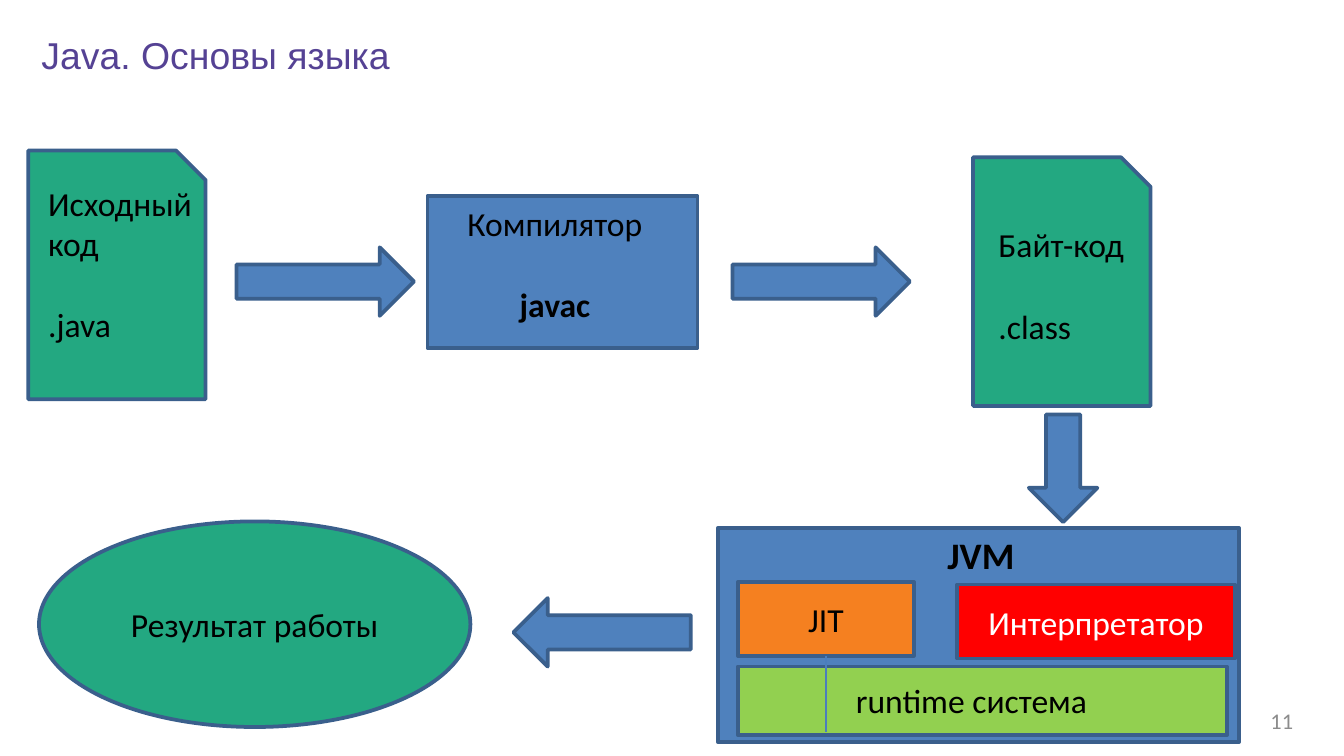
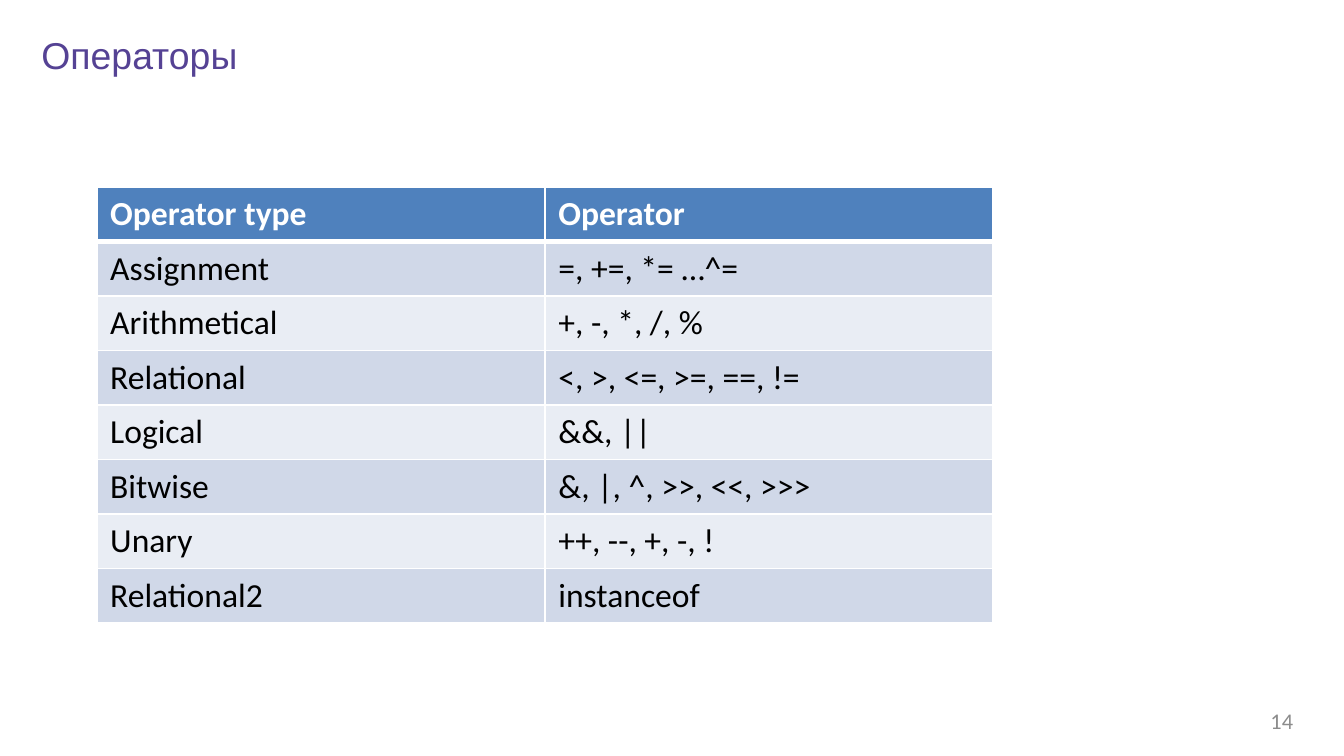
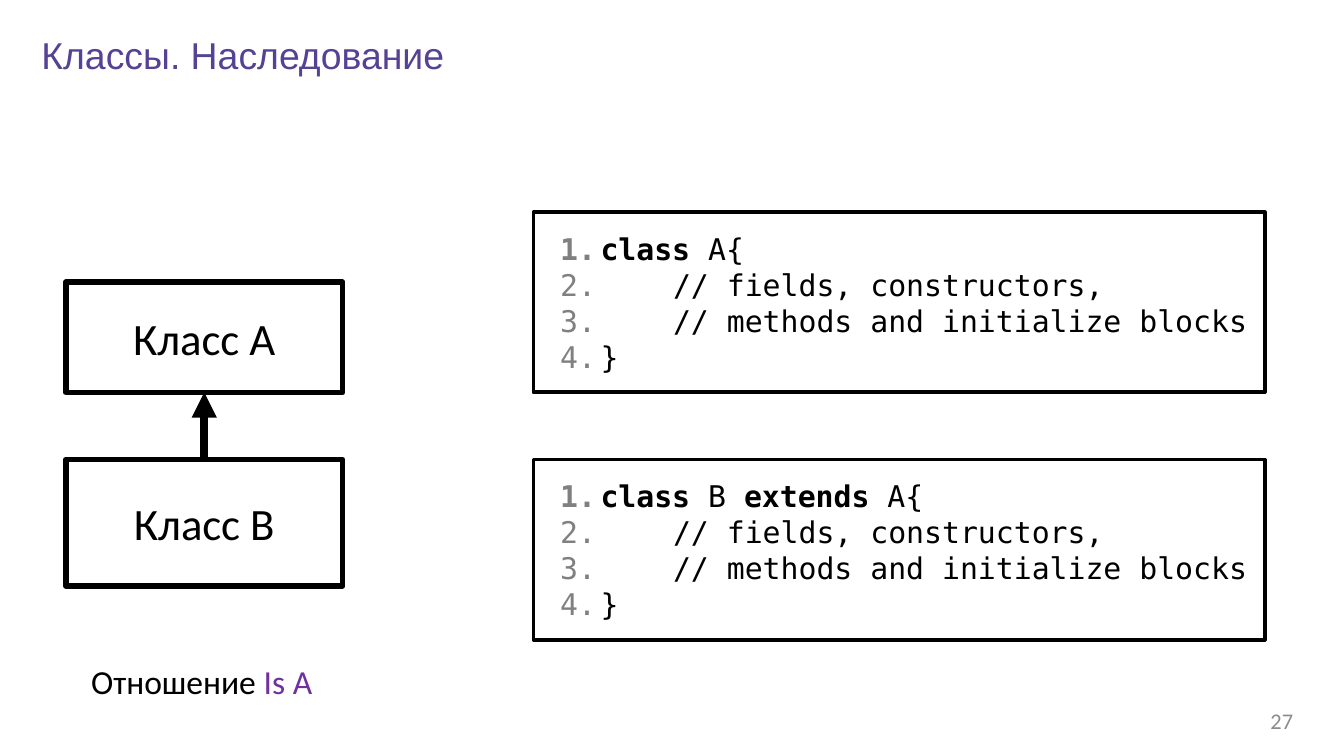
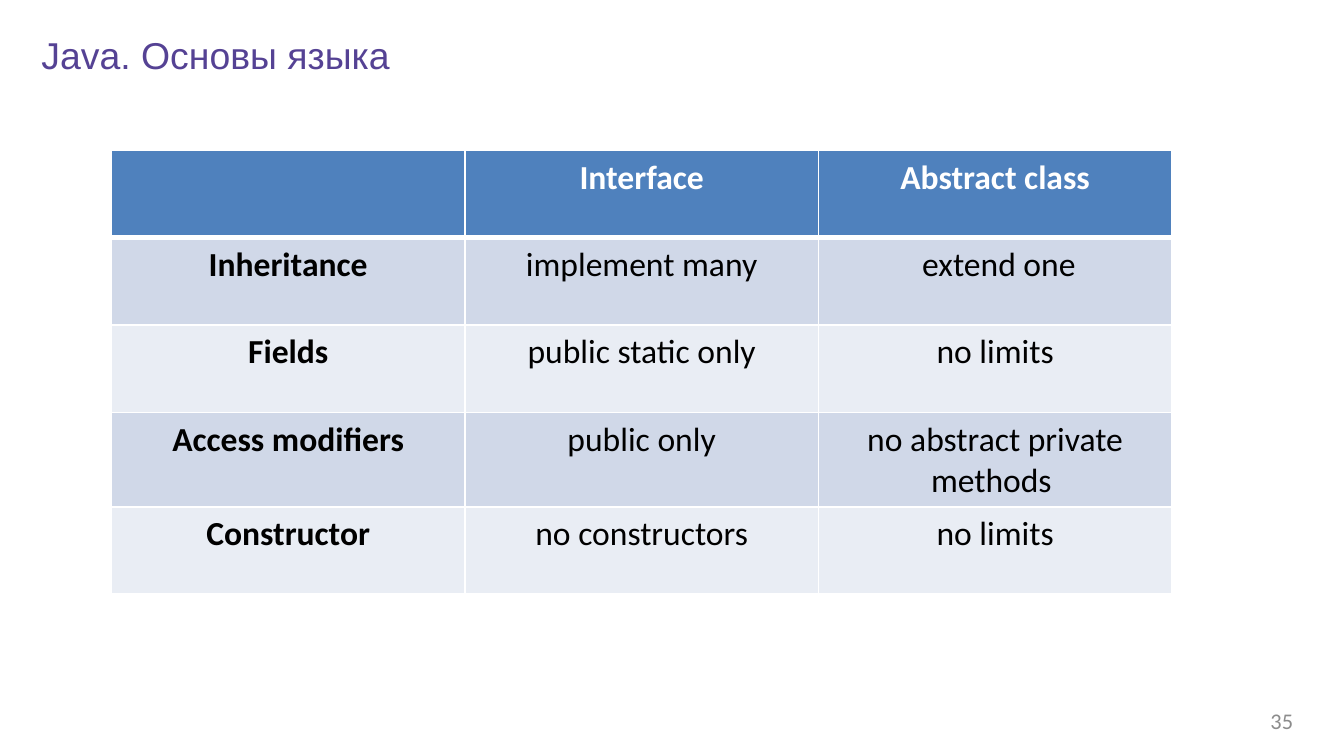
from lxml import etree
from pptx import Presentation
from pptx.dml.color import RGBColor
from pptx.enum.shapes import MSO_CONNECTOR, MSO_SHAPE
from pptx.enum.text import MSO_ANCHOR, PP_ALIGN
from pptx.oxml.ns import qn
from pptx.util import Inches, Pt

RECT, ELLIPSE = MSO_SHAPE.RECTANGLE, MSO_SHAPE.OVAL
ARROW, DOCUMENT = MSO_SHAPE.RIGHT_ARROW, MSO_SHAPE.SNIP_1_RECTANGLE
STRAIGHT = MSO_CONNECTOR.STRAIGHT
TOP, MIDDLE = MSO_ANCHOR.TOP, MSO_ANCHOR.MIDDLE
LEFT, CENTER, RIGHT = PP_ALIGN.LEFT, PP_ALIGN.CENTER, PP_ALIGN.RIGHT
SIDE_TOP, SIDE_BOTTOM = 0, 2

WIDTH = 10
HEIGHT = WIDTH * 9 / 16
BODY_FONT, TITLE_FONT, CODE_FONT = "Calibri", "Arial", "DejaVu Sans Mono"
BLACK, WHITE, GRAY, NUMBER_GRAY = "000000", "FFFFFF", "808080", "8C8C8C"
TITLE_VIOLET, ACCENT_VIOLET = "554294", "7030A0"
BLUE, OUTLINE, THIN_BLUE = "4F81BD", "3A5F8C", "4B7EBC"
GREEN, ORANGE, RED, LIME = "23A881", "F58020", "FF0000", "92D050"
BANDS = ("D0D8E8", "E9EDF4")

# Slide 1: kind, box, rotation, fill, label, label colour
DOC_SIZE, ARROW_SIZE = (1.32, 1.85), (1.32, 0.51)
FLOW = [
    (DOCUMENT, (0.21, 1.12, *DOC_SIZE), 0, GREEN, "", BLACK),
    (ARROW, (1.76, 1.84, *ARROW_SIZE), 0, BLUE, "", BLACK),
    (RECT, (3.18, 1.46, 2.01, 1.13), 0, BLUE, "", BLACK),
    (ARROW, (5.45, 1.84, *ARROW_SIZE), 0, BLUE, "", BLACK),
    (DOCUMENT, (7.24, 1.17, *DOC_SIZE), 0, GREEN, "", BLACK),
    (ARROW, (7.51, 3.23, 0.8, 0.51), 90, BLUE, "", BLACK),
    (RECT, (5.34, 3.93, 3.88, 1.59), 0, BLUE, "", BLACK),
    (ELLIPSE, (0.29, 3.88, 3.21, 1.53), 0, GREEN, "Результат работы", BLACK),
    (ARROW, (3.82, 4.45, *ARROW_SIZE), 180, BLUE, "", BLACK),
    (RECT, (7.12, 4.35, 2.07, 0.55), 0, RED, "Интерпретатор", WHITE),
    (RECT, (5.49, 4.96, 3.64, 0.51), 0, LIME, "", BLACK),
]
JIT_BOX = (5.49, 4.33, 1.31, 0.55)
JIT_LINE_END = 5.45
# box, wraps, size, paragraphs of (text, bold, alignment)
FLOW_LABELS = [
    ((0.26, 1.31, 1.5, 1.31), True, 18, [("Исходный код", False, LEFT), (".java", False, LEFT)]),
    ((3.38, 1.46, 1.52, 1.01), False, 18, [("Компилятор", False, LEFT), ("javac", True, CENTER)]),
    ((7.33, 1.62, 1.15, 1.01), False, 18, [("Байт-код", False, LEFT), (".class", False, LEFT)]),
    ((6.95, 3.91, 0.71, 0.44), False, 20, [("JVM", True, LEFT)]),
    ((6.27, 5.01, 1.94, 0.4), False, 18, [("runtime система", False, LEFT)]),
]

# Slide 2
OPERATORS = [
    ("Operator type", "Operator"),
    ("Assignment", "=, +=, *= …^="),
    ("Arithmetical", "+, -, *, /, %"),
    ("Relational", "<, >, <=, >=, ==, !="),
    ("Logical", "&&, ||"),
    ("Bitwise ", "&, |, ^, >>, <<, >>>"),
    ("Unary", "++, --, +, -, !"),
    ("Relational2", "instanceof"),
]

# Slide 3: a class, its box top and height, its code top and first line as (text, bold)
CLASSES = [
    ("Класс A", 2.1, 0.82, 1.58, [("class ", True), ("A{", False)]),
    ("Класс B", 3.42, 0.94, 3.42, [("class ", True), ("B ", False), ("extends", True), (" A{", False)]),
]
CLASS_BODY = ["// fields, constructors,", "// methods and initialize blocks"]
CLASS_LEFT, CLASS_WIDTH = 0.49, 2.06
CODE_LEFT, CODE_WIDTH, CODE_HEIGHT = 3.97, 5.44, 1.34
NUMBER_AT, CODE_AT, CODE_TAB = 0.1, 0.4, 0.54

# Slide 4
COMPARISON = [
    ("", "Interface", "Abstract class"),
    ("Inheritance", "implement many", " extend one"),
    ("Fields", "public static only", "no limits"),
    ("Access modifiers", "public only", "no abstract private methods "),
    ("Constructor", "no constructors", "no limits"),
]


def color(hex_code):
    return RGBColor.from_string(hex_code)


def inches(lengths):
    return [Inches(length) for length in lengths]


def style(paragraph, size, hex_code=BLACK, bold=False, align=LEFT, font=BODY_FONT):
    paragraph.alignment = align
    paragraph.font.name = font
    paragraph.font.size = Pt(size)
    paragraph.font.bold = bold
    paragraph.font.color.rgb = color(hex_code)


def add_paragraph(frame, index):
    return frame.add_paragraph() if index else frame.paragraphs[0]


def add_text(slide, box, text, size, wrap=True, anchor=TOP, **look):
    frame = slide.shapes.add_textbox(*inches(box)).text_frame
    frame.word_wrap = wrap
    frame.vertical_anchor = anchor
    frame.text = text
    style(frame.paragraphs[0], size, **look)
    return frame


def add_box(slide, kind, box, fill, outline, weight, text="", size=18, text_color=BLACK):
    shape = slide.shapes.add_shape(kind, *inches(box))
    shape.shadow.inherit = False
    if fill:
        shape.fill.solid()
        shape.fill.fore_color.rgb = color(fill)
    else:
        shape.fill.background()
    shape.line.color.rgb = color(outline)
    shape.line.width = Pt(weight)
    shape.text_frame.vertical_anchor = MIDDLE
    if text:
        shape.text_frame.text = text
        style(shape.text_frame.paragraphs[0], size, text_color, align=CENTER)
    return shape


def add_line(slide, start, end, hex_code, weight):
    line = slide.shapes.add_connector(STRAIGHT, *inches((*start, *end)))
    line.line.color.rgb = color(hex_code)
    line.line.width = Pt(weight)
    etree.SubElement(line._element.spPr, qn("a:effectLst"))
    return line


def set_borders(cell, bottom):
    properties = cell._tc.get_or_add_tcPr()
    for index, (side, weight) in enumerate(zip("LRTB", (1, 1, 1, bottom))):
        border = etree.Element(qn(f"a:ln{side}"), w=str(Pt(weight)))
        fill = etree.SubElement(border, qn("a:solidFill"))
        etree.SubElement(fill, qn("a:srgbClr"), val=WHITE)
        properties.insert(index, border)


def add_grid(slide, rows, box, align=LEFT, bold_first=False):
    """Add a banded table with a blue header row and white borders."""
    table = slide.shapes.add_table(len(rows), len(rows[0]), *inches(box)).table
    for r, row in enumerate(rows):
        header = r == 0
        for c, text in enumerate(row):
            cell = table.cell(r, c)
            cell.text = text
            cell.fill.solid()
            cell.fill.fore_color.rgb = color(BLUE if header else BANDS[(r - 1) % 2])
            style(cell.text_frame.paragraphs[0], 18, WHITE if header else BLACK,
                  header or (bold_first and c == 0), align)
            set_borders(cell, 3 if header else 1)


def number_line(paragraph, tabs):
    """Number a code line, indenting its text by tabs without moving the number."""
    text_at = CODE_AT + tabs * CODE_TAB
    properties = paragraph._p.get_or_add_pPr()
    properties.set("marL", str(Inches(text_at)))
    properties.set("indent", str(Inches(NUMBER_AT - text_at)))
    tint = etree.Element(qn("a:buClr"))
    etree.SubElement(tint, qn("a:srgbClr"), val=GRAY)
    font = etree.Element(qn("a:buFont"), typeface=CODE_FONT)
    numbering = etree.Element(qn("a:buAutoNum"), type="arabicPeriod")
    for index, part in enumerate((tint, font, numbering)):
        properties.insert(index, part)


def add_code(slide, top, heading):
    box = (CODE_LEFT, top, CODE_WIDTH, CODE_HEIGHT)
    frame = add_box(slide, RECT, box, None, BLACK, 2).text_frame
    body = [(1, [(text, False)]) for text in CLASS_BODY]
    for index, (tabs, runs) in enumerate([(0, heading), *body, (0, [("}", False)])]):
        paragraph = add_paragraph(frame, index)
        style(paragraph, 16, font=CODE_FONT)
        number_line(paragraph, tabs)
        for text, bold in runs:
            run = paragraph.add_run()
            run.text = text
            run.font.bold = bold


def new_slide(deck, title, number):
    slide = deck.slides.add_slide(deck.slide_layouts[6])
    add_text(slide, (0.21, 0.19, 6.98, 0.44), title, 20, hex_code=TITLE_VIOLET, font=TITLE_FONT)
    add_text(slide, (7.39, 5.21, 2.33, 0.3), str(number), 12, anchor=MIDDLE,
             hex_code=NUMBER_GRAY, align=RIGHT)
    return slide


def build_flow(slide):
    for kind, box, rotation, fill, label, label_color in FLOW:
        shape = add_box(slide, kind, box, fill, OUTLINE, 2, label, text_color=label_color)
        shape.rotation = rotation
    for box, wrap, size, paragraphs in FLOW_LABELS:
        frame = add_text(slide, box, "", size, wrap)
        for index, (text, bold, align) in enumerate(paragraphs):
            paragraph = add_paragraph(frame, index)
            paragraph.text = text
            style(paragraph, size, bold=bold, align=align)
            if index:
                paragraph.space_before = Pt(22)
    jit = add_box(slide, RECT, JIT_BOX, ORANGE, OUTLINE, 2, "JIT")
    left, top, width, height = JIT_BOX
    center = left + width / 2
    line = add_line(slide, (center, top + height), (center, JIT_LINE_END), THIN_BLUE, 0.75)
    line.begin_connect(jit, SIDE_BOTTOM)


def build_inheritance(slide):
    boxes = []
    for label, top, height, code_top, heading in CLASSES:
        boxes.append(add_box(slide, RECT, (CLASS_LEFT, top, CLASS_WIDTH, height),
                             WHITE, BLACK, 3, label, 24))
        add_code(slide, code_top, heading)
    parent, child = boxes
    extends = add_line(slide, (0, 0), (1, 1), BLACK, 4.5)
    extends.begin_connect(child, SIDE_TOP)
    extends.end_connect(parent, SIDE_BOTTOM)
    etree.SubElement(extends.line._get_or_add_ln(), qn("a:tailEnd"), type="triangle")
    relation = add_text(slide, (0.58, 4.87, 1.87, 0.4), "Отношение ", 18, wrap=False)
    kind = relation.paragraphs[0].add_run()
    kind.text = "Is A"
    kind.font.color.rgb = color(ACCENT_VIOLET)


def main():
    deck = Presentation()
    deck.slide_width, deck.slide_height = inches((WIDTH, HEIGHT))
    build_flow(new_slide(deck, "Java. Основы языка", 11))
    add_grid(new_slide(deck, "Операторы", 14), OPERATORS, (0.72, 1.39, 6.67, 3.25))
    build_inheritance(new_slide(deck, "Классы. Наследование", 27))
    add_grid(new_slide(deck, "Java. Основы языка", 35), COMPARISON, (0.83, 1.12, 7.89, 3.25),
             align=CENTER, bold_first=True)
    deck.save("out.pptx")


if __name__ == "__main__":
    main()
